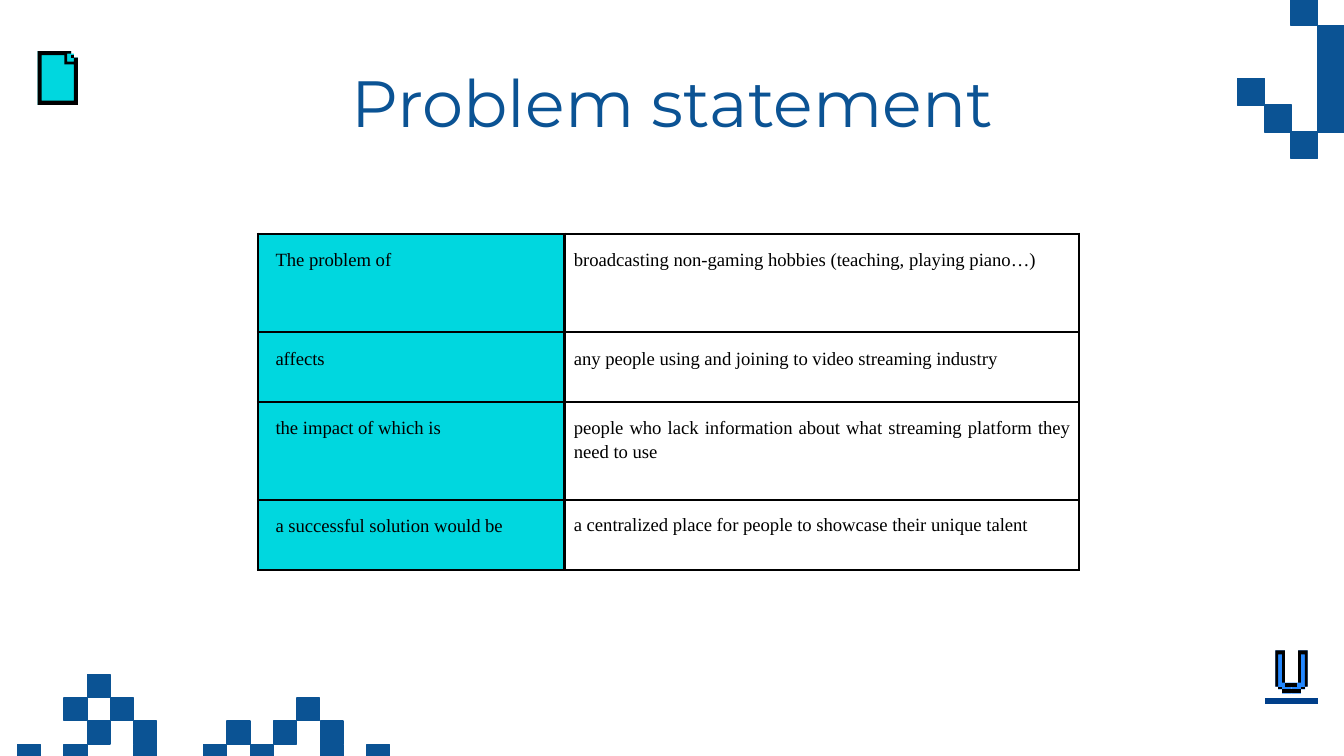
"""Build the problem statement slide with its pixel-art decoration."""
from dataclasses import dataclass

from lxml.etree import SubElement
from pptx import Presentation
from pptx.dml.color import RGBColor as RGB
from pptx.enum.shapes import MSO_SHAPE as Shape
from pptx.enum.text import MSO_ANCHOR as Anchor, PP_ALIGN as Align
from pptx.oxml.ns import qn
from pptx.util import Inches, Pt


@dataclass(frozen=True)
class Theme:
    navy: RGB = RGB(0x0B, 0x53, 0x94)
    cyan: RGB = RGB(0x00, 0xD7, 0xDF)
    black: RGB = RGB(0, 0, 0)
    azure: RGB = RGB(0x24, 0x88, 0xFF)
    underline: RGB = RGB(0x00, 0x3F, 0x8A)
    title_font: str = "Montserrat"
    body_font: str = "Times New Roman"
    title_size: Pt = Pt(35)
    body_size: Pt = Pt(10)


theme = Theme()


def draw_outline(shapes, color, *contours):
    start, *rest = [[(Inches(x), Inches(y)) for x, y in contour] for contour in contours]
    builder = shapes.build_freeform(*start[0])
    builder.add_line_segments(start[1:], close=True)
    for contour in rest:
        builder.move_to(*contour[0])
        builder.add_line_segments(contour[1:], close=True)
    outline = builder.convert_to_shape()
    outline.shadow.inherit = False
    outline.fill.solid()
    outline.fill.fore_color.rgb = color
    outline.line.fill.background()


def add_run(paragraph, text, font, size, color):
    run = paragraph.add_run()
    run.text = text
    run.font.name = font
    run.font.size = size
    run.font.color.rgb = color


prs = Presentation()
prs.slide_width = Inches(10)
prs.slide_height = Inches(10) * 9 // 16
slide = prs.slides.add_slide(prs.slide_layouts[6])
shapes = slide.shapes

corner_pixels = ["..#.", "...#", "...#", "#..#", ".#.#", "..#."]
skyline_pixels = [
    "...#............",
    "..#.#.......#...",
    "...#.#...#.#.#..",
    "#.#..#..#.#..#.#",
]
pixel_art = [
    (9.21, -0.01, 0.98, 0.2, corner_pixels),
    (0.13, 5.02, 5.54, 0.17, skyline_pixels),
]
for left, first_top, last_top, side, pixel_rows in pixel_art:
    step = (last_top - first_top) / (len(pixel_rows) - 1)
    for row, pixels in enumerate(pixel_rows):
        for col, mark in enumerate(pixels):
            if mark == "#":
                pixel = shapes.add_shape(
                    Shape.RECTANGLE, Inches(left + col * step), Inches(first_top + row * step),
                    Inches(side), Inches(side))
                pixel.shadow.inherit = False
                pixel.fill.solid()
                pixel.fill.fore_color.rgb = theme.navy
                pixel.line.color.rgb = theme.navy
                pixel.line.width = Pt(0.75)

page_edge = [(0.28, 0.38), (0.28, 0.78), (0.58, 0.78), (0.58, 0.43), (0.55, 0.43)]
page_inside = [(0.48, 0.41), (0.48, 0.48), (0.55, 0.48), (0.55, 0.75), (0.31, 0.75), (0.31, 0.41)]
page_fold = [(0.55, 0.46), (0.5, 0.46), (0.5, 0.4), (0.53, 0.4), (0.53, 0.38)]
draw_outline(shapes, theme.cyan, page_edge + [(0.55, 0.4), (0.53, 0.4), (0.53, 0.38)])
draw_outline(shapes, theme.black, [(0.53, 0.41), (0.53, 0.43), (0.55, 0.43), (0.55, 0.41)])
draw_outline(shapes, theme.black, page_inside, page_edge + page_fold)

letter_left = [(9.49, 4.84), (9.49, 5.11), (9.51, 5.11), (9.51, 5.13), (9.54, 5.13),
               (9.54, 5.16), (9.61, 5.16), (9.61, 5.08), (9.56, 5.08), (9.56, 4.84)]
stem_left = [(9.49, 4.84), (9.49, 5.11), (9.51, 5.11), (9.51, 4.87),
             (9.54, 4.87), (9.54, 5.08), (9.56, 5.08), (9.56, 4.84)]
step_left = [(9.51, 5.11), (9.51, 5.13), (9.54, 5.13), (9.54, 5.11)]
letter_axis = 9.61
for color, half in [(theme.azure, letter_left), (theme.black, stem_left), (theme.black, step_left)]:
    draw_outline(shapes, color, half)
    draw_outline(shapes, color, [(2 * letter_axis - x, y) for x, y in half])
for color, left, right, top, bottom in [
    (theme.underline, 9.41, 9.81, 5.19, 5.24),
    (theme.black, 9.54, 9.68, 5.13, 5.16),
    (theme.black, 9.56, 9.65, 5.08, 5.11),
]:
    draw_outline(shapes, color, [(left, top), (left, bottom), (right, bottom), (right, top)])

title = shapes.add_textbox(Inches(0.79), Inches(0.36), Inches(8.43), Inches(0.63)).text_frame
title.word_wrap = True
title.vertical_anchor = Anchor.TOP
title.margin_left = title.margin_right = title.margin_top = title.margin_bottom = Inches(0.1)
title.paragraphs[0].alignment = Align.CENTER
add_run(title.paragraphs[0], "Problem statement", theme.title_font, theme.title_size, theme.navy)

statements = [
    ("The problem of", "broadcasting non-gaming hobbies (teaching, playing piano…)"),
    ("affects", "any people using and joining to video streaming industry"),
    ("the impact of which is",
     "people who lack information about what streaming platform they need to use"),
    ("a successful solution would be",
     "a centralized place for people to showcase their unique talent"),
]
column_widths = [2.28, 3.83]
row_heights = [0.73, 0.52, 0.73, 0.52]
statement_table = shapes.add_table(
    len(statements), len(column_widths), Inches(1.92), Inches(1.74),
    Inches(sum(column_widths)), Inches(sum(row_heights))).table
statement_table.first_row = False
statement_table.horz_banding = False
for column, width in zip(statement_table.columns, column_widths):
    column.width = Inches(width)

for row, (texts, height) in enumerate(zip(statements, row_heights)):
    statement_table.rows[row].height = Inches(height)
    for col, text in enumerate(texts):
        cell = statement_table.cell(row, col)
        cell.margin_left = Inches(0.07 if col else 0.13)
        cell.margin_right = Inches(0.07)
        cell.margin_top = cell.margin_bottom = Inches(0.1)
        borders = {"L": 1.5, "R": 1.5, "T": 1 if row else 1.5, "B": 1}
        for edge, width in borders.items():
            line = SubElement(cell._tc.get_or_add_tcPr(), qn(f"a:ln{edge}"), w=str(Pt(width)))
            SubElement(SubElement(line, qn("a:solidFill")), qn("a:srgbClr"), val=str(theme.black))
        if col:
            cell.fill.background()
        else:
            cell.fill.solid()
            cell.fill.fore_color.rgb = theme.cyan
        paragraph = cell.text_frame.paragraphs[0]
        paragraph.alignment = Align.JUSTIFY if col else Align.LEFT
        paragraph.line_spacing = 1.09 if (row, col) == (3, 1) else 1.15
        paragraph.space_after = Pt(6)
        add_run(paragraph, text, theme.body_font, theme.body_size, theme.black)

prs.save("out.pptx")
